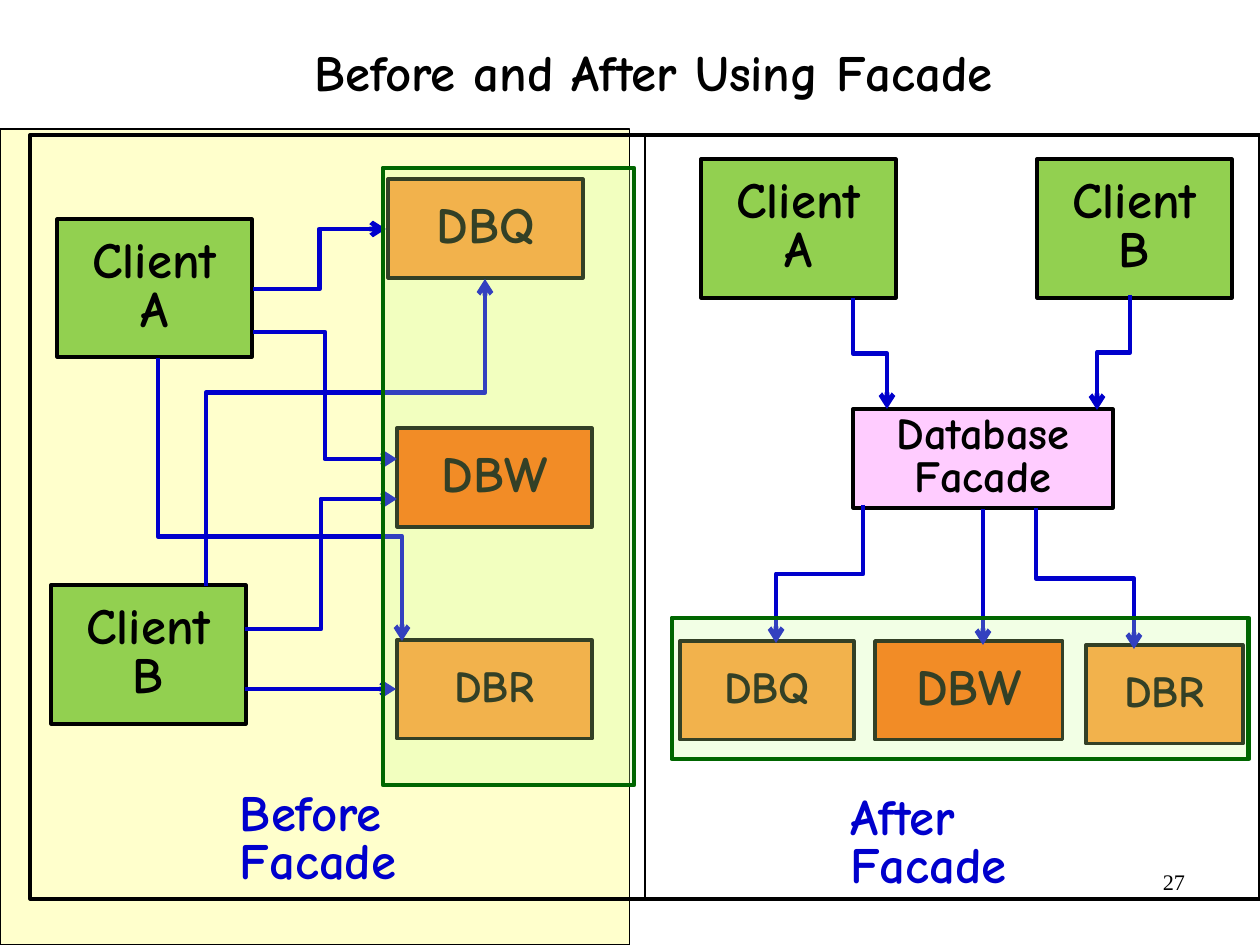
"""Builds a slide comparing database clients before and after a facade."""
import lxml.etree
import pptx
import pptx.dml.color
import pptx.enum.shapes
import pptx.enum.text
import pptx.oxml.ns
import pptx.util

PX = 8000
THEME = {
    "font": "Comic Neue", "number_font": "Times New Roman",
    "ink": "000000", "blue": "0000CC", "green": "92D050", "amber": "FF9933",
    "orange": "FF6600", "pink": "FFCCFF", "cream": "FFFFCC",
    "veil": "CCFF99", "veil_edge": "006600",
    "large": 32, "medium": 28, "small": 14,
}
ALIGN = pptx.enum.text.PP_ALIGN
ANCHOR = pptx.enum.text.MSO_ANCHOR
CONNECTOR = pptx.enum.shapes.MSO_CONNECTOR
qn = pptx.oxml.ns.qn

deck = pptx.Presentation()
deck.slide_width, deck.slide_height = 1260 * PX, 945 * PX
page = deck.slides.add_slide(deck.slide_layouts[6])


def add_panel(bounds, fill, edge, width):
    panel = page.shapes.add_shape(
        pptx.enum.shapes.MSO_SHAPE.RECTANGLE, *[length * PX for length in bounds])
    panel.shadow.inherit = False
    if fill:
        panel.fill.solid()
        panel.fill.fore_color.rgb = pptx.dml.color.RGBColor.from_string(THEME[fill])
    else:
        panel.fill.background()
    panel.line.color.rgb = pptx.dml.color.RGBColor.from_string(THEME[edge])
    panel.line.width = pptx.util.Pt(width)
    return panel


def write(box, text, size, color, align, anchor, font="font", bold=True):
    frame = box.text_frame
    frame.text = text
    frame.word_wrap = True
    frame.vertical_anchor = anchor
    frame.margin_left = frame.margin_right = 13 * PX
    frame.margin_top = frame.margin_bottom = 7 * PX
    para = frame.paragraphs[0]
    para.alignment = align
    para.line_spacing = 0.8 if bold else 1.0
    span = para.runs[0]
    span.font.name = THEME[font]
    span.font.size = pptx.util.Pt(THEME[size])
    span.font.bold = bold
    span.font.color.rgb = pptx.dml.color.RGBColor.from_string(THEME[color])


add_panel((0, 129, 630, 816), "cream", "ink", 0.75)
add_panel((30, 135, 1230, 764), None, "ink", 2)

components = [
    ("Client A", (57, 219, 195, 138), "green", "large"),
    ("Client B", (51, 585, 195, 139), "green", "large"),
    ("DBQ", (388, 179, 195, 99), "amber", "large"),
    ("DBW", (397, 428, 195, 99), "orange", "large"),
    ("DBR", (397, 640, 195, 99), "amber", "medium"),
    ("Client A", (701, 159, 195, 139), "green", "large"),
    ("Client B", (1037, 159, 195, 139), "green", "large"),
    ("Database Facade", (853, 409, 260, 99), "pink", "medium"),
    ("DBQ", (680, 641, 174, 99), "amber", "medium"),
    ("DBW", (875, 641, 188, 99), "orange", "large"),
    ("DBR", (1086, 645, 157, 99), "amber", "medium"),
]
for name, bounds, fill, size in components:
    component = add_panel(bounds, fill, "ink", 2)
    write(component, name, size, "ink", ALIGN.CENTER, ANCHOR.MIDDLE)

links = [
    ("across", (253, 289), (386, 229), 0.5),
    ("across", (253, 332), (397, 459), 0.5),
    ("upright", (158, 358), (402, 641), 0.63),
    ("upright", (206, 586), (485, 279), 0.63),
    ("across", (245, 629), (397, 499), 0.5),
    ("straight", (245, 689), (396, 689), None),
    ("upright", (853, 298), (887, 409), 0.5),
    ("upright", (1130, 295), (1097, 410), 0.5),
    ("upright", (863, 505), (776, 643), 0.5),
    ("upright", (1036, 508), (1134, 649), 0.5),
    ("straight", (983, 509), (983, 645), None),
    ("divider", (645, 134), (645, 898), None),
]
for route, start, end, bend in links:
    (left, top), (right, bottom) = start, end
    turn = 0
    if route == "upright":
        turn = -1 if right > left and bottom > top else 1
        middle_x, middle_y = (left + right) / 2, (top + bottom) / 2
        reach, drift = turn * (bottom - top) / 2, turn * (left - right) / 2
        left, right = middle_x - reach, middle_x + reach
        top, bottom = middle_y - drift, middle_y + drift
    kind = CONNECTOR.ELBOW if bend else CONNECTOR.STRAIGHT
    link = page.shapes.add_connector(
        kind, *[int(length * PX) for length in (left, top, right, bottom)])
    divider = route == "divider"
    link.line.color.rgb = pptx.dml.color.RGBColor.from_string(
        THEME["ink" if divider else "blue"])
    link.line.width = pptx.util.Pt(1 if divider else 3)
    properties = link._element.spPr
    lxml.etree.SubElement(properties, qn("a:effectLst"))
    if not divider:
        lxml.etree.SubElement(properties.find(qn("a:ln")), qn("a:tailEnd"), type="arrow")
    if turn:
        properties.find(qn("a:xfrm")).set("rot", str(turn * 90 * 60000 % 21600000))
    if bend:
        guides = properties.find(qn("a:prstGeom")).find(qn("a:avLst"))
        lxml.etree.SubElement(
            guides, qn("a:gd"), name="adj1", fmla=f"val {round(bend * 100000)}")

labels = [
    ("Before Facade", (227, 785, 275, 111), "large", "blue", ALIGN.LEFT),
    ("After Facade", (837, 789, 275, 111), "large", "blue", ALIGN.LEFT),
    ("Before and After Using Facade", (173, 46, 962, 63), "large", "ink", ALIGN.CENTER),
    ("27", (904, 861, 294, 65), "small", "ink", ALIGN.RIGHT),
]
for text, bounds, size, color, align in labels:
    label = page.shapes.add_textbox(*[length * PX for length in bounds])
    if size == "small":
        write(label, text, size, color, align, ANCHOR.TOP, "number_font", False)
    else:
        write(label, text, size, color, align, ANCHOR.TOP)

for bounds in [(672, 618, 577, 141), (383, 168, 251, 617)]:
    veil = add_panel(bounds, "veil", "veil_edge", 3)
    tint = veil._element.spPr.find(qn("a:solidFill"))[0]
    lxml.etree.SubElement(tint, qn("a:alpha"), val="25000")

deck.save("out.pptx")
